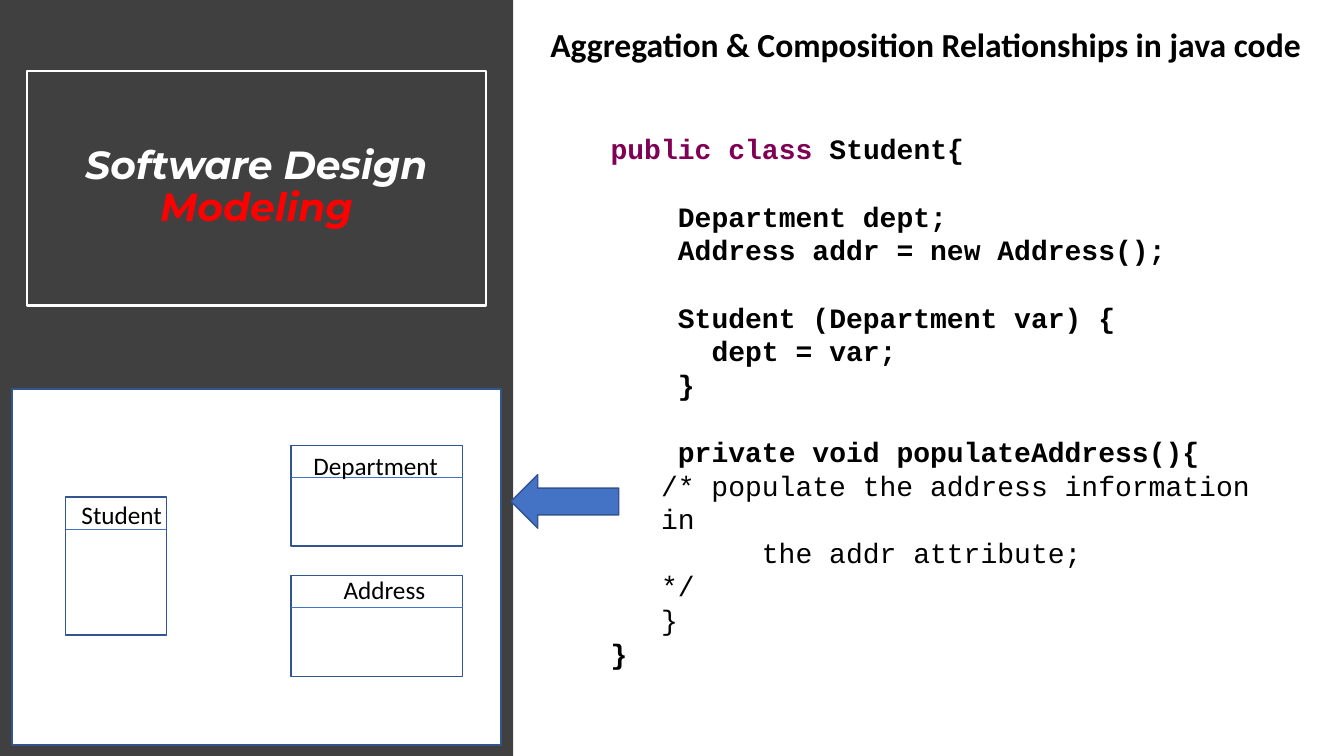
from lxml import etree
from pptx import Presentation
from pptx.dml import color
from pptx.enum import shapes, text
from pptx.oxml import ns
from pptx.util import Pt

WHITE = color.RGBColor(0xFF, 0xFF, 0xFF)
BLACK = color.RGBColor(0, 0, 0)
RED = color.RGBColor(0xFF, 0, 0)
DARK_GREY = color.RGBColor(0x40, 0x40, 0x40)
BLUE = color.RGBColor(0x44, 0x72, 0xC4)
NAVY = color.RGBColor(0x32, 0x54, 0x91)
KEYWORD = color.RGBColor(0x7F, 0x00, 0x55)

HEADING = {"name": "Calibri", "size": Pt(24), "bold": True}
TITLE = {"name": "Montserrat", "size": Pt(28), "bold": True, "italic": True}
LABEL = {"name": "Calibri", "size": Pt(18)}
CODE = {"name": "Courier New", "size": Pt(20), "bold": True}
COMMENT = {**CODE, "bold": False}

CODE_LINE = 24
BLANK_LINE = {"space_before": Pt(CODE_LINE)}
DIVIDER_OFFSET = 23

# Each code line: text, font format, left indent, paragraph format
CODE_LINES = [
    (" Student{", CODE, 0, {}),
    ("    Department dept;", CODE, 0, BLANK_LINE),
    ("    Address addr = new Address();", CODE, 0, {}),
    ("    Student (Department var) {", CODE, 0, BLANK_LINE),
    ("      dept = var;", CODE, 0, {}),
    ("    }", CODE, 0, {}),
    ("    private void populateAddress(){", CODE, 0, BLANK_LINE),
    ("/* populate the address information in", COMMENT, 36, {}),
    ("      the addr attribute;", COMMENT, 36, {}),
    ("*/", COMMENT, 36, {}),
    ("}", COMMENT, 36, {}),
    ("}", CODE, 0, {}),
]

# Each class: name, box (left, top, width, height), label (left, top, width)
CLASSES = [
    ("Student", (46.8, 355, 72, 98.6), (51.1, 352.8, 72.7)),
    ("Department", (208, 318.2, 122.4, 72), (216.7, 318.2, 104.4)),
    ("Address", (208, 411.1, 122.4, 72), (238.3, 406.8, 109.4)),
]


def points(*values):
    return [Pt(value) for value in values]


def apply(target, formats):
    for name, value in formats.items():
        setattr(target, name, value)


def add_run(paragraph, words, font_format, font_color=BLACK):
    run = paragraph.add_run()
    run.text = words
    apply(run.font, font_format)
    run.font.color.rgb = font_color


def add_box(slide, box, fill=None, line=None, kind=shapes.MSO_SHAPE.RECTANGLE):
    shape = slide.shapes.add_shape(kind, *points(*box))
    shape.shadow.inherit = False
    if fill is None:
        shape.fill.background()
    else:
        shape.fill.solid()
        shape.fill.fore_color.rgb = fill
    if line is None:
        shape.line.fill.background()
    else:
        shape.line.color.rgb = line
        shape.line.width = Pt(1)
    return shape


def add_line(slide, *ends):
    connector = slide.shapes.add_connector(shapes.MSO_CONNECTOR.STRAIGHT, *points(*ends))
    connector.line.color.rgb = BLUE
    connector.line.width = Pt(0.5)
    etree.SubElement(connector._element.spPr, ns.qn("a:effectLst"))


def add_text_box(slide, box):
    shape = slide.shapes.add_textbox(*points(*box))
    shape.text_frame.word_wrap = True
    return shape.text_frame


def place(slide, placeholder, box, anchor):
    """Move a placeholder to its box, in front of the shapes drawn so far."""
    apply(placeholder, dict(zip(("left", "top", "width", "height"), points(*box))))
    slide.shapes._spTree.append(placeholder._element)
    frame = placeholder.text_frame
    apply(frame, {"word_wrap": True, "auto_size": text.MSO_AUTO_SIZE.NONE,
                  "vertical_anchor": anchor})
    return frame


def fill_title(slide):
    title = slide.shapes.title
    frame = place(slide, title, (19.4, 50.4, 327.6, 167.8), text.MSO_ANCHOR.MIDDLE)
    title.line.color.rgb = WHITE
    title.line.width = Pt(1.5)
    parts = [("Software Design", WHITE), ("Modeling", RED)]
    for index, (words, font_color) in enumerate(parts):
        paragraph = frame.add_paragraph() if index else frame.paragraphs[0]
        apply(paragraph, {"alignment": text.PP_ALIGN.CENTER, "line_spacing": 0.9})
        add_run(paragraph, words, TITLE, font_color)


def fill_heading(slide):
    box = (385.9, 16.6, 555.1, 38.2)
    frame = place(slide, slide.placeholders[1], box, text.MSO_ANCHOR.TOP)
    paragraph = frame.paragraphs[0]
    apply(paragraph, {"line_spacing": 0.9, "space_before": Pt(0)})
    properties = paragraph._p.get_or_add_pPr()
    properties.set("marL", "0")
    properties.set("indent", "0")
    etree.SubElement(properties, ns.qn("a:buNone"))
    add_run(paragraph, "Aggregation & Composition Relationships in java code", HEADING)


def add_class(slide, name, box, label):
    left, top, width, _ = box
    add_box(slide, box, line=NAVY)
    divider = top + DIVIDER_OFFSET
    add_line(slide, left, divider, left + width, divider)
    frame = add_text_box(slide, (*label, 29))
    add_run(frame.paragraphs[0], name, LABEL)


def add_code(slide):
    frame = add_text_box(slide, (429.1, 90.7, 480.2, 392.4))
    add_run(frame.paragraphs[0], "public class", CODE, KEYWORD)
    for index, (words, font_format, indent, paragraph_format) in enumerate(CODE_LINES):
        paragraph = frame.add_paragraph() if index else frame.paragraphs[0]
        apply(paragraph, {"line_spacing": Pt(CODE_LINE), **paragraph_format})
        paragraph._p.get_or_add_pPr().set("marL", str(Pt(indent)))
        add_run(paragraph, words, font_format)


def main():
    presentation = Presentation()
    presentation.slide_width, presentation.slide_height = points(960, 540)
    slide = presentation.slides.add_slide(presentation.slide_layouts[1])
    add_box(slide, (0, 0, 366.5, 540), fill=DARK_GREY)
    add_box(slide, (8.6, 277.9, 349.2, 254.2), fill=WHITE, line=NAVY)
    fill_title(slide)
    fill_heading(slide)
    add_code(slide)
    for name, box, label in CLASSES:
        add_class(slide, name, box, label)
    arrow = add_box(slide, (365, 339.1, 77, 38.2), BLUE, NAVY, shapes.MSO_SHAPE.RIGHT_ARROW)
    arrow.rotation = 180
    presentation.save("out.pptx")


if __name__ == "__main__":
    main()
